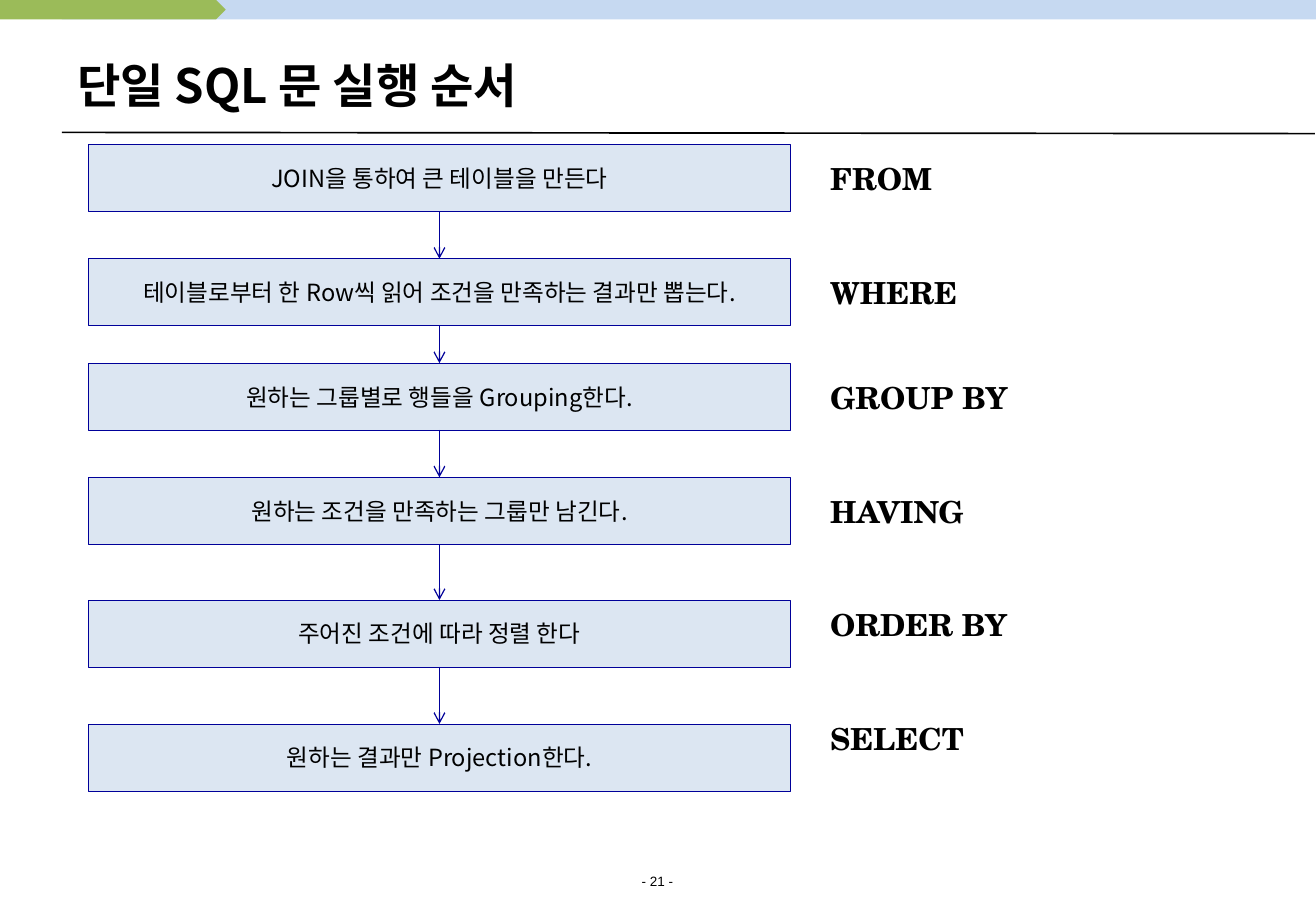
from lxml import etree
from pptx import Presentation
from pptx.dml.color import RGBColor
from pptx.enum.shapes import MSO_CONNECTOR, MSO_SHAPE
from pptx.enum.text import MSO_ANCHOR, PP_ALIGN
from pptx.oxml.ns import qn
from pptx.util import Inches, Pt

RECTANGLE = MSO_SHAPE.RECTANGLE
PROCESS = MSO_SHAPE.FLOWCHART_PROCESS
STRAIGHT = MSO_CONNECTOR.STRAIGHT
MIDDLE, TOP = MSO_ANCHOR.MIDDLE, MSO_ANCHOR.TOP
LEFT, CENTER = PP_ALIGN.LEFT, PP_ALIGN.CENTER

TITLE = "단일 SQL 문 실행 순서"
PAGE_NUMBER = "- 21 -"
STEPS = [
    ("FROM", "JOIN을 통하여 큰 테이블을 만든다", 1.19, 1.27),
    ("WHERE", "테이블로부터 한 Row씩 읽어 조건을 만족하는 결과만 뽑는다.", 2.13, 2.21),
    ("GROUP BY", "원하는 그룹별로 행들을 Grouping한다.", 2.99, 3.07),
    ("HAVING", "원하는 조건을 만족하는 그룹만 남긴다.", 3.93, 4.01),
    ("ORDER BY", "주어진 조건에 따라 정렬 한다", 4.94, 4.94),
    ("SELECT", "원하는 결과만 Projection한다.", 5.96, 5.88),
]
COLORS = {
    "band": "C6D9F1",
    "tab": "9BBB59",
    "step": "DCE6F2",
    "outline": "000099",
    "text": "000000",
}
KOREAN, SERIF, SANS = "Noto Sans CJK KR", "TeX Gyre Schola", "Arial"
TAB_OUTLINE = [(0, 0), (1.78, 0), (1.86, 0.08), (1.78, 0.16), (0, 0.16)]
STEP_LEFT, STEP_WIDTH, STEP_HEIGHT = 0.73, 5.78, 0.55
LABEL_LEFT, LABEL_WIDTH, LABEL_HEIGHT = 6.74, 2.29, 0.4


def color(name):
    return RGBColor.from_string(COLORS[name])


def paint(shape, fill, outline=None):
    shape.shadow.inherit = False
    shape.fill.solid()
    shape.fill.fore_color.rgb = color(fill)
    if outline:
        shape.line.color.rgb = color(outline)
        shape.line.width = Pt(0.25)
    else:
        shape.line.fill.background()


def write(shape, text, size, font, bold=False, align=LEFT, anchor=TOP):
    frame = shape.text_frame
    frame.vertical_anchor = anchor
    para = frame.paragraphs[0]
    para.alignment = align
    span = para.add_run()
    span.text = text
    span.font.size = Pt(size)
    span.font.name = font
    span.font.bold = bold
    span.font.color.rgb = color("text")
    etree.SubElement(span.font._element, qn("a:ea"), typeface=font)
    return para


def add_text(page, place, text, size, font, **style):
    box = page.shapes.add_textbox(*map(Inches, place))
    box.text_frame.word_wrap = True
    return write(box, text, size, font, **style)


def add_line(page, start, end, name, width, arrow=False):
    line = page.shapes.add_connector(STRAIGHT, *map(Inches, start + end))
    line.line.color.rgb = color(name)
    line.line.width = Pt(width)
    if arrow:
        etree.SubElement(line.line._get_or_add_ln(), qn("a:tailEnd"), type="arrow")
    etree.SubElement(line._element.spPr, qn("a:effectLst"))
    return line


def add_step(page, text, top):
    place = (STEP_LEFT, top, STEP_WIDTH, STEP_HEIGHT)
    box = page.shapes.add_shape(PROCESS, *map(Inches, place))
    paint(box, "step", "outline")
    frame = box.text_frame
    frame.margin_left = frame.margin_right = 0
    frame.margin_top = frame.margin_bottom = 0
    frame.word_wrap = False
    write(box, text, 14, KOREAN, align=CENTER, anchor=MIDDLE)
    return box


def add_frame(page):
    band = page.shapes.add_shape(RECTANGLE, *map(Inches, (0.51, 0, 10.33, 0.16)))
    paint(band, "band")
    points = [(Inches(x), Inches(y)) for x, y in TAB_OUTLINE]
    builder = page.shapes.build_freeform(*points[0])
    builder.add_line_segments(points[1:], close=True)
    paint(builder.convert_to_shape(), "tab")
    number = add_text(page, (0, 7.14, 10.83, 0.24), PAGE_NUMBER, 8, SANS, align=CENTER)
    number.space_before = Pt(5)
    add_line(page, (0.51, 1.09), (10.83, 1.1), "text", 1)
    add_text(page, (0.54, 0.3, 9.75, 0.79), TITLE, 28, KOREAN, bold=True, anchor=MIDDLE)


def main():
    deck = Presentation()
    deck.slide_width, deck.slide_height = Inches(10.84), Inches(7.5)
    page = deck.slides.add_slide(deck.slide_layouts[6])
    add_frame(page)

    boxes = []
    for clause, text, step_top, label_top in STEPS:
        boxes.append(add_step(page, text, step_top))
        place = (LABEL_LEFT, label_top, LABEL_WIDTH, LABEL_HEIGHT)
        add_text(page, place, clause, 18, SERIF, bold=True)

    middle = STEP_LEFT + STEP_WIDTH / 2
    tops = [step[2] for step in STEPS]
    for index in range(len(boxes) - 1):
        start = (middle, tops[index] + STEP_HEIGHT)
        end = (middle, tops[index + 1])
        arrow = add_line(page, start, end, "outline", 0.75, arrow=True)
        arrow.begin_connect(boxes[index], 2)
        arrow.end_connect(boxes[index + 1], 0)

    deck.save("out.pptx")


if __name__ == "__main__":
    main()
